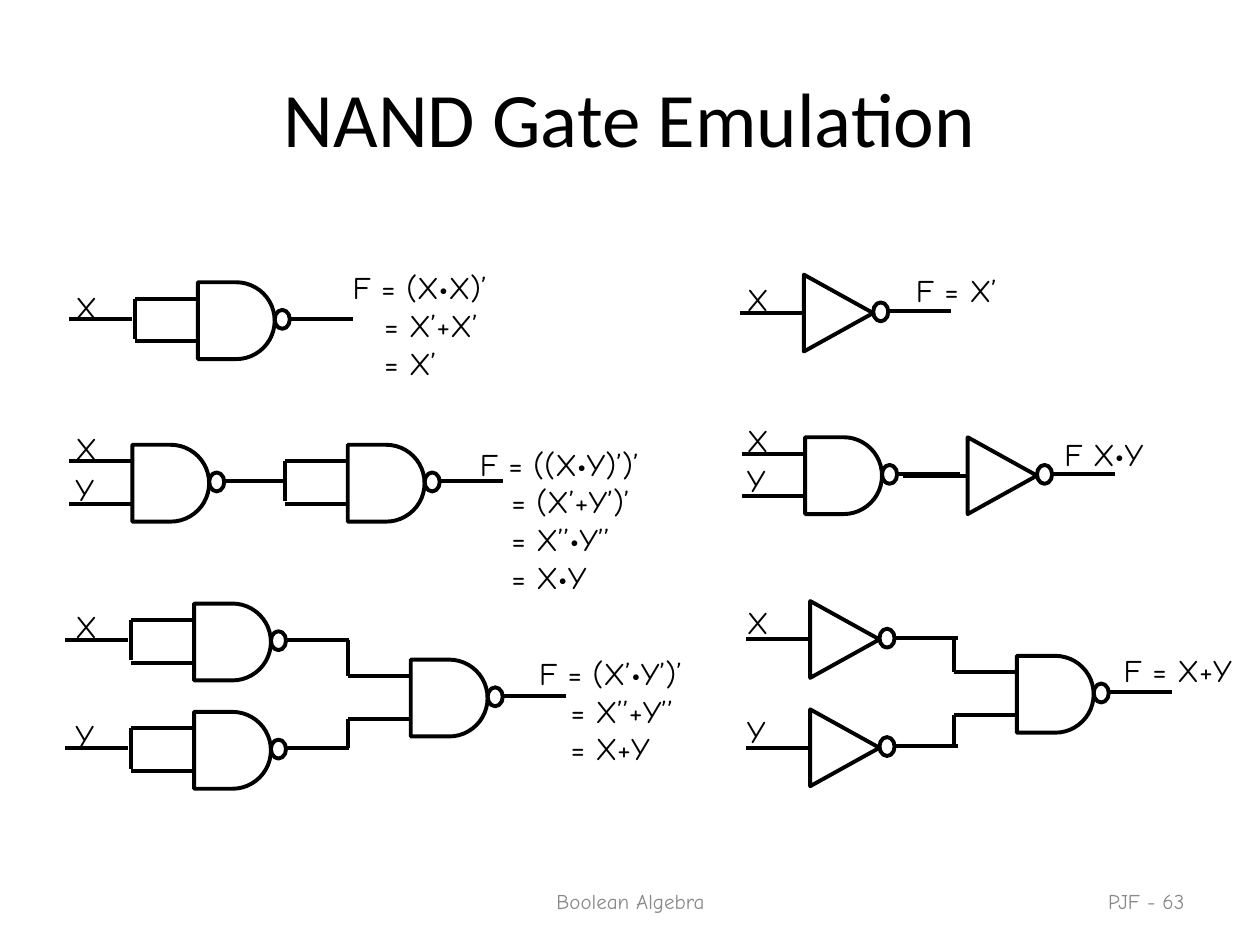
from dataclasses import dataclass

from lxml.etree import SubElement
from pptx import Presentation
from pptx.dml.color import RGBColor
from pptx.enum.shapes import MSO_CONNECTOR as Connector, MSO_SHAPE as Shape
from pptx.enum.text import MSO_ANCHOR as Anchor, MSO_AUTO_SIZE as AutoSize, PP_ALIGN as Align
from pptx.oxml.ns import qn
from pptx.util import Inches, Pt


@dataclass(frozen=True)
class Theme:
    ink: RGBColor = RGBColor(0x00, 0x00, 0x00)
    muted: RGBColor = RGBColor(0x89, 0x89, 0x89)
    title_font: str = "Calibri"
    body_font: str = "Comic Neue"
    title_size: int = 44
    label_size: int = 18
    footer_size: int = 12
    outline: float = 2.25
    joint: float = 2


THEME = Theme()
GATE = 0.61           # height of every gate
TRIANGLE = 0.55       # depth of the inverter triangle
WIRE = 0.5
BUBBLE = (0.12, 0.15)
OUTPUT_Y = 0.29       # output height below the top of a gate
NAND_INPUTS = (0.13, 0.47)


def add_text(shapes, box, lines, size=THEME.label_size, font=THEME.body_font,
             color=THEME.ink, align=Align.LEFT, anchor=Anchor.TOP, indent=0):
    """Write lines into a text box, with every line after the first indented."""
    shape = shapes.add_textbox(*map(Inches, box))
    frame = shape.text_frame
    frame.word_wrap = True
    frame.vertical_anchor = anchor
    for index, line in enumerate(lines):
        paragraph = frame.add_paragraph() if index else frame.paragraphs[0]
        paragraph.alignment = align
        if index and indent:
            paragraph._p.get_or_add_pPr().set("marL", str(Inches(indent)))
        run = paragraph.add_run()
        run.text = line
        run.font.name = font
        run.font.size = Pt(size)
        run.font.color.rgb = color
    return shape


def add_label(shapes, left, top, name):
    shape = add_text(shapes, (left, top, 0.41, 0.4), [name])
    shape.text_frame.auto_size = AutoSize.SHAPE_TO_FIT_TEXT


def add_formula(shapes, left, top, width, *lines):
    height = 0.1 + 0.3 * len(lines)
    shape = add_text(shapes, (left, top, width, height), lines, indent=0.25)
    shape.text_frame.auto_size = AutoSize.SHAPE_TO_FIT_TEXT


def add_line(shapes, start, end, weight=THEME.outline):
    points = map(Inches, (*start, *end))
    line = shapes.add_connector(Connector.STRAIGHT, *points)
    line.line.color.rgb = THEME.ink
    line.line.width = Pt(weight)
    SubElement(line._element.spPr, qn("a:effectLst"))


def add_wire(shapes, left, y):
    add_line(shapes, (left, y), (left + WIRE, y))


def add_joint(shapes, x, top, bottom):
    add_line(shapes, (x, top), (x, bottom), THEME.joint)


def add_outline(shapes, kind, left, top, width, height):
    shape = shapes.add_shape(kind, *map(Inches, (left, top, width, height)))
    shape.shadow.inherit = False
    shape.fill.background()
    shape.line.color.rgb = THEME.ink
    shape.line.width = Pt(THEME.outline)
    return shape


def add_inverted_output(shapes, left, top):
    """Draw the bubble and output wire at the right side of a gate."""
    add_outline(shapes, Shape.OVAL, left, top + 0.22, *BUBBLE)
    add_wire(shapes, left + BUBBLE[0], top + OUTPUT_Y)


def add_nand(shapes, left, top):
    add_outline(shapes, Shape.FLOWCHART_DELAY, left, top, GATE, GATE)
    for offset in NAND_INPUTS:
        add_wire(shapes, left - WIRE, top + offset)
    add_inverted_output(shapes, left + GATE, top)


def add_tied_nand(shapes, left, top):
    """Draw a NAND gate whose two inputs are tied together."""
    add_nand(shapes, left, top)
    add_joint(shapes, left - WIRE, top + NAND_INPUTS[0], top + 0.45)


def add_nand_inverter(shapes, left, top):
    add_tied_nand(shapes, left, top)
    add_wire(shapes, left - 2 * WIRE - 0.02, top + OUTPUT_Y)


def add_inverter(shapes, left, top):
    shift = (GATE - TRIANGLE) / 2  # the triangle turns about its centre
    triangle = add_outline(shapes, Shape.ISOSCELES_TRIANGLE,
                           left - shift, top + shift, GATE, TRIANGLE)
    triangle.rotation = 90
    add_wire(shapes, left - WIRE - 0.01, top + GATE / 2)
    add_inverted_output(shapes, left + TRIANGLE, top)


def add_or_network(shapes, left, top, add_driver, driver_x, driver_y, nand_x):
    """Draw two inverting drivers that feed one NAND gate."""
    nand_left, nand_top = left + nand_x, top + 0.465
    for name, offset, nand_input in zip("XY", (0, 0.86), NAND_INPUTS):
        add_label(shapes, left, top + offset, name)
        driver_top = top + offset + driver_y
        add_driver(shapes, left + driver_x, driver_top)
        add_joint(shapes, nand_left - WIRE,
                  *sorted((driver_top + OUTPUT_Y, nand_top + nand_input)))
    add_nand(shapes, nand_left, nand_top)


def add_input_pair(shapes, left, top):
    add_label(shapes, left, top, "X")
    add_label(shapes, left, top + 0.32, "Y")


def add_nand_column(shapes, left, top):
    """Draw NOT, AND and OR built from NAND gates alone."""
    add_label(shapes, left, top + 0.16, "X")
    add_nand_inverter(shapes, left + 1.07, top + 0.16)
    add_formula(shapes, left + 2.2, top, 2.34, "F = (X•X)’", "= X’+X’", "= X’")

    and_top = top + 1.28
    add_input_pair(shapes, left, and_top)
    add_nand(shapes, left + 0.55, and_top + 0.17)
    add_tied_nand(shapes, left + 2.26, and_top + 0.17)
    add_formula(shapes, left + 3.21, and_top + 0.12, 2.66,
                "F = ((X•Y)’)’", "= (X’+Y’)’", "= X’’•Y’’", "= X•Y")

    or_top = top + 2.69
    add_or_network(shapes, left, or_top, add_nand_inverter, 1.04, 0.02, 2.76)
    add_formula(shapes, left + 3.68, or_top + 0.37, 2.66,
                "F = (X’•Y’)’", "= X’’+Y’’", "= X+Y")


def add_equivalent_column(shapes, left, top):
    """Draw the same three functions with inverters and NAND gates."""
    add_label(shapes, left, top + 0.07, "X")
    add_inverter(shapes, left + 0.55, top + 0.08)
    add_formula(shapes, left + 1.34, top, 2.35, "F = X’")

    and_top = top + 1.19
    add_input_pair(shapes, left, and_top)
    add_nand(shapes, left + 0.56, and_top + 0.18)
    add_inverter(shapes, left + 1.85, and_top + 0.18)
    add_formula(shapes, left + 2.52, and_top + 0.11, 0.86, "F X•Y")

    or_top = top + 2.64
    add_or_network(shapes, left, or_top, add_inverter, 0.6, 0.03, 2.24)
    add_formula(shapes, left + 2.99, or_top + 0.38, 1.18, "F = X+Y")


def add_frame_text(shapes):
    """Write the title and the footer."""
    add_text(shapes, (0.5, 0.3, 9, 1.25), ["NAND Gate Emulation"], THEME.title_size,
             THEME.title_font, align=Align.CENTER, anchor=Anchor.MIDDLE)
    for left, width, text, align in ((3.42, 3.17, "Boolean Algebra", Align.CENTER),
                                     (7.17, 2.33, "PJF - 63", Align.RIGHT)):
        add_text(shapes, (left, 6.95, width, 0.4), [text], THEME.footer_size,
                 color=THEME.muted, align=align, anchor=Anchor.MIDDLE)


def main():
    presentation = Presentation()
    presentation.slide_width, presentation.slide_height = Inches(10), Inches(7.5)
    slide = presentation.slides.add_slide(presentation.slide_layouts[6])
    add_frame_text(slide.shapes)
    add_nand_column(slide.shapes.add_group_shape().shapes, 0.5, 2.08)
    add_equivalent_column(slide.shapes.add_group_shape().shapes, 5.83, 2.1)
    presentation.save("out.pptx")


if __name__ == "__main__":
    main()
